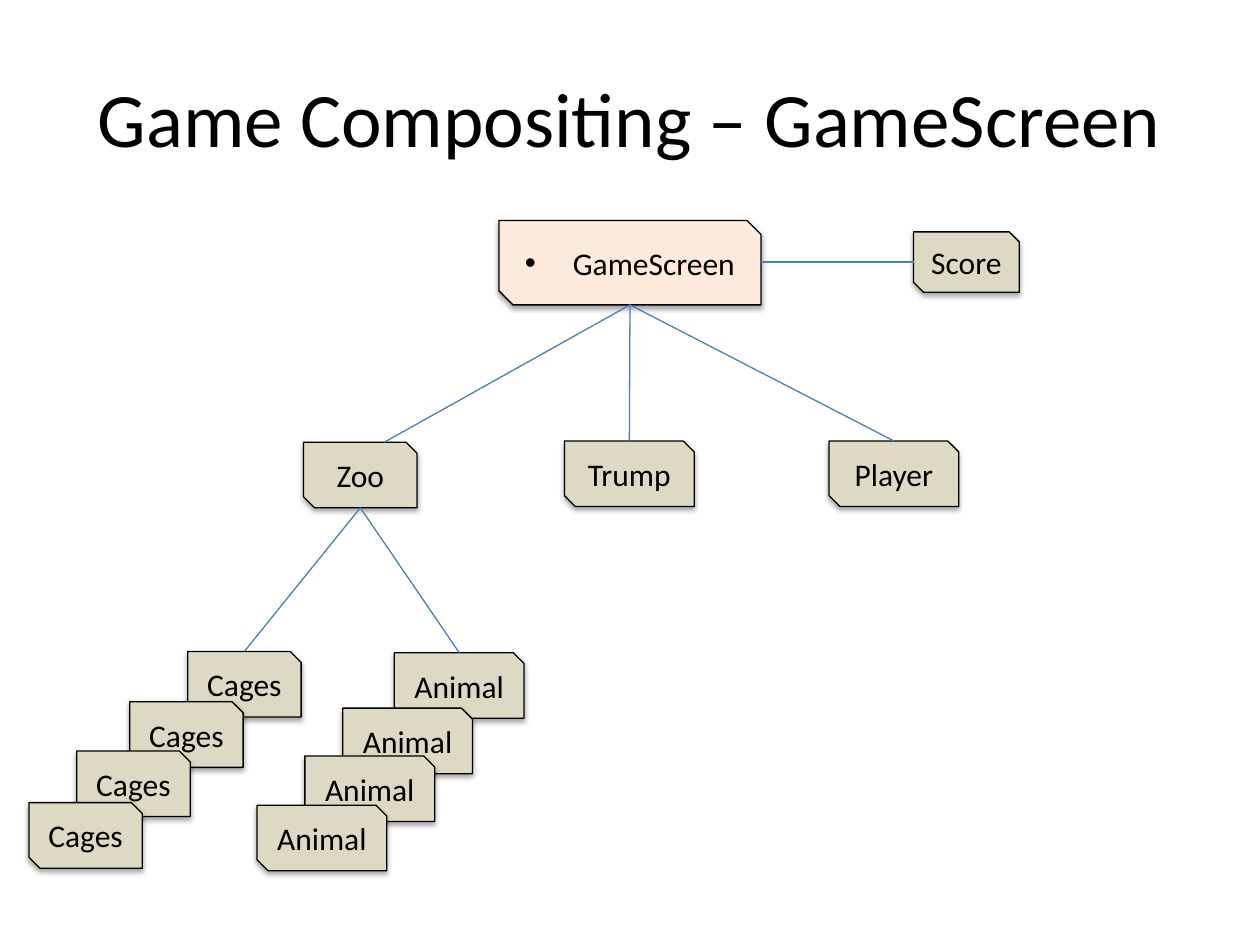
from dataclasses import dataclass

from lxml import etree
from pptx import Presentation
from pptx import util as u
from pptx.dml.color import RGBColor
from pptx.enum import shapes, text
from pptx.oxml import ns

FONT = "Calibri"
BLACK, PEACH, TAN, BLUE = "000000", "FDEADA", "DDD9C3", "4B7EBC"
Point = tuple[float, float]


@dataclass(frozen=True)
class Box:
    label: str
    left: float
    top: float
    width: float
    height: float = 0.52
    fill: str = TAN

    @property
    def top_center(self) -> Point:
        return self.left + self.width / 2, self.top

    @property
    def bottom_center(self) -> Point:
        return self.left + self.width / 2, self.top + self.height


def color(value: str) -> RGBColor:
    return RGBColor.from_string(value)


def add_element(parent, tag: str, **attributes: str):
    return etree.SubElement(parent, ns.qn(tag), attributes)


def write_text(shape, label: str, size: float) -> None:
    frame = shape.text_frame
    frame.text = label
    frame.vertical_anchor = text.MSO_ANCHOR.MIDDLE
    paragraph = frame.paragraphs[0]
    paragraph.alignment = text.PP_ALIGN.CENTER
    font = paragraph.runs[0].font
    font.name, font.size = FONT, u.Pt(size)
    font.color.rgb = color(BLACK)


def add_soft_shadow(shape) -> None:
    shape.shadow.inherit = False
    effects = shape._element.spPr.find(ns.qn("a:effectLst"))
    shadow = add_element(effects, "a:outerShdw", blurRad=str(u.Pt(3.1)),
                         dist=str(u.Pt(1.8)), dir="5400000", rotWithShape="0")
    shade = add_element(shadow, "a:srgbClr", val=BLACK)
    add_element(shade, "a:alpha", val="35000")


def add_bullet(paragraph) -> None:
    properties = paragraph._p.get_or_add_pPr()
    properties.set("marL", str(u.Inches(0.38)))
    properties.set("indent", str(u.Inches(-0.38)))
    add_element(properties, "a:buFont", typeface="Arial")
    add_element(properties, "a:buChar", char="•")


def draw_box(slide, box: Box):
    shape = slide.shapes.add_shape(
        shapes.MSO_SHAPE.SNIP_2_DIAG_RECTANGLE, u.Inches(box.left),
        u.Inches(box.top), u.Inches(box.width), u.Inches(box.height))
    shape.fill.solid()
    shape.fill.fore_color.rgb = color(box.fill)
    shape.line.color.rgb = color(BLACK)
    shape.line.width = u.Pt(0.75)
    add_soft_shadow(shape)
    write_text(shape, box.label, 18)
    shape.text_frame.word_wrap = False
    return shape


def draw_link(slide, start: Point, end: Point) -> None:
    ends = [u.Inches(value) for value in (*start, *end)]
    link = slide.shapes.add_connector(shapes.MSO_CONNECTOR.STRAIGHT, *ends)
    link.line.color.rgb = color(BLUE)
    link.line.width = u.Pt(0.75)
    add_element(link._element.spPr, "a:effectLst")


def main() -> None:
    presentation = Presentation()
    presentation.slide_width = u.Inches(10)
    presentation.slide_height = u.Inches(7.5)
    slide = presentation.slides.add_slide(presentation.slide_layouts[6])

    # Title
    title = slide.shapes.add_textbox(u.Inches(0.5), u.Inches(0.3),
                                     u.Inches(9), u.Inches(1.25))
    title.text_frame.word_wrap = True
    write_text(title, "Game Compositing – GameScreen", 44)

    # Screen and its parts
    screen = Box("GameScreen", 3.96, 1.75, 2.08, 0.67, PEACH)
    score = Box("Score", 7.25, 1.84, 0.84, 0.48)
    zoo = Box("Zoo", 2.41, 3.51, 0.9)
    trump = Box("Trump", 4.48, 3.5, 1.03)
    player = Box("Player", 6.58, 3.5, 1.03)

    # Overlapping stacks under the zoo, back to front
    cages = [Box("Cages", left, top, 0.9) for left, top in
             ((1.49, 5.17), (1.03, 5.57), (0.61, 5.96), (0.23, 6.37))]
    animals = [Box("Animal", left, top, 1.03) for left, top in
               ((3.13, 5.18), (2.72, 5.62), (2.42, 6), (2.04, 6.39))]

    screen_shape = draw_box(slide, screen)
    screen_shape.text_frame.word_wrap = True
    add_bullet(screen_shape.text_frame.paragraphs[0])
    for box in (score, zoo, *cages, *animals, trump, player):
        draw_box(slide, box)

    # Links between owners and parts
    middle = 2.08
    draw_link(slide, (screen.left + screen.width, middle), (score.left, middle))
    for end in ((3.05, zoo.top), trump.top_center, player.top_center):
        draw_link(slide, screen.bottom_center, end)
    for stack in (cages, animals):
        draw_link(slide, zoo.bottom_center, stack[0].top_center)

    presentation.save("out.pptx")


if __name__ == "__main__":
    main()
